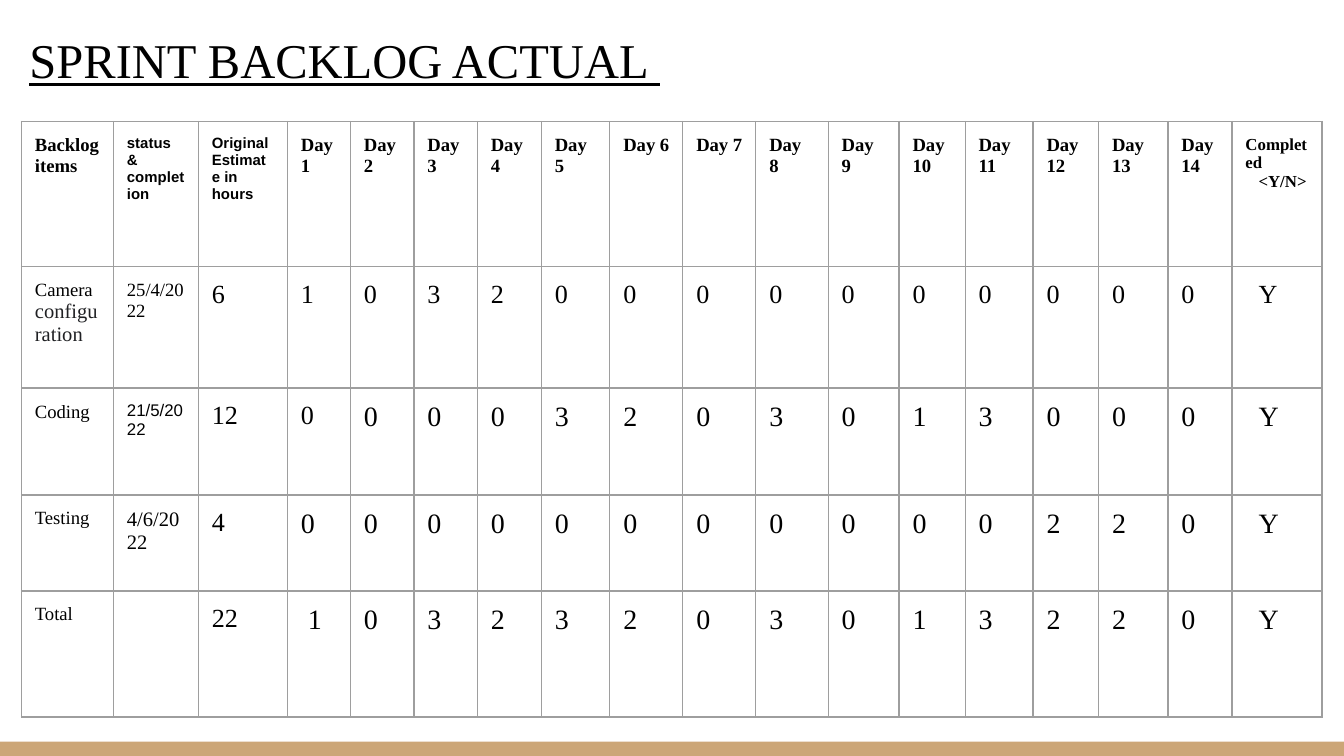
from lxml import etree
from pptx import Presentation
from pptx.dml.color import RGBColor
from pptx.enum.shapes import MSO_SHAPE
from pptx.enum.text import MSO_ANCHOR, MSO_AUTO_SIZE, PP_ALIGN
from pptx.oxml.ns import qn
from pptx.util import Pt

RECTANGLE = MSO_SHAPE.RECTANGLE
LEFT = PP_ALIGN.LEFT
TOP, BOTTOM = MSO_ANCHOR.TOP, MSO_ANCHOR.BOTTOM
NO_AUTOFIT = MSO_AUTO_SIZE.NONE

BLACK = RGBColor(0x00, 0x00, 0x00)
DARK_GREY = RGBColor(0x20, 0x21, 0x24)
BORDER_GREY = RGBColor(0x9E, 0x9E, 0x9E)
TAN = RGBColor(0xCC, 0xA6, 0x77)

SERIF, SANS = "Times New Roman", "Arial"
INSET = Pt(7.2)
ANSWER_INDENT = Pt(7)

COLUMN_WIDTHS = [49.3, 45.5, 47.7, 33.8, 34, 34, 34.3, 36.7, 39.1, 39.1,
                 38.8, 38, 35.4, 36.4, 35.1, 37.2, 34.3, 48.2]
ROW_HEIGHTS = [77.7, 65.1, 57.3, 51.4, 67.5]

# Item, date, date font, date size, hours, day values, sizes of first and later days
BACKLOG = [
    ("Camera ", "25/4/2022", SERIF, 10, "6", "1 0 3 2 0 0 0 0 0 0 0 0 0 0", 14, 14),
    ("Coding", "21/5/2022", SANS, 9, "12", "0 0 0 0 3 2 0 3 0 1 3 0 0 0", 14, 15),
    ("Testing", "4/6/2022", SERIF, 11, "4", "0 0 0 0 0 0 0 0 0 0 0 2 2 0", 15, 15),
    ("Total", "", SERIF, 10, "22", "1 0 3 2 3 2 0 3 0 1 3 2 2 0", 15, 15),
]


def format_paragraph(paragraph, size, name=SERIF, bold=False, indent=0):
    """Set the font and the left indent of a paragraph."""
    paragraph.alignment = LEFT
    if indent:
        paragraph._p.get_or_add_pPr().set("marL", str(indent))
    font = paragraph.font
    font.name, font.size, font.bold = name, Pt(size), bold
    font.color.rgb = BLACK


def write_cell(cell, text, size, name=SERIF, bold=False, indent=0):
    """Write one paragraph into a table cell."""
    paragraph = cell.text_frame.paragraphs[0]
    if text:
        paragraph.add_run().text = text
    format_paragraph(paragraph, size, name, bold, indent)
    return paragraph


def style_cell(cell):
    """Give a cell its insets, thin grey borders and no fill."""
    cell.margin_left = cell.margin_right = INSET
    cell.margin_top = cell.margin_bottom = INSET
    cell.vertical_anchor = TOP
    properties = cell._tc.get_or_add_tcPr()
    for side in ("a:lnL", "a:lnR", "a:lnT", "a:lnB"):
        line = etree.SubElement(properties, qn(side), w=str(Pt(0.75)))
        fill = etree.SubElement(line, qn("a:solidFill"))
        etree.SubElement(fill, qn("a:srgbClr"), val=str(BORDER_GREY))
    cell.fill.background()


def add_title(slide, text):
    title = slide.shapes.title
    title.left, title.top, title.width, title.height = Pt(8.6), Pt(-10.8), Pt(671), Pt(65.5)
    frame = title.text_frame
    frame.auto_size = NO_AUTOFIT
    frame.word_wrap = True
    frame.vertical_anchor = BOTTOM
    frame.margin_left = frame.margin_right = INSET
    frame.margin_top = frame.margin_bottom = INSET
    frame.text = text
    format_paragraph(frame.paragraphs[0], 26)
    frame.paragraphs[0].font.underline = True


def add_footer_bar(slide):
    bar = slide.shapes.add_shape(RECTANGLE, Pt(0), Pt(397.4), Pt(720), Pt(7.6))
    bar.shadow.inherit = False
    bar.fill.solid()
    bar.fill.fore_color.rgb = TAN
    bar.line.fill.background()


def fill_header(table):
    write_cell(table.cell(0, 0), "Backlog items", 10, bold=True)
    write_cell(table.cell(0, 1), "status & completion", 8, SANS, bold=True)
    write_cell(table.cell(0, 2), "Original Estimate in hours", 8, SANS, bold=True)
    for day in range(1, 15):
        write_cell(table.cell(0, day + 2), f"Day {day}", 10, bold=True)
    completed = table.cell(0, 17)
    write_cell(completed, "Completed", 9, bold=True)
    options = completed.text_frame.add_paragraph()
    options.text = "<Y/N>"
    format_paragraph(options, 9, bold=True, indent=ANSWER_INDENT)


def fill_backlog(table):
    for row, (item, date, date_font, date_size, hours, days, first, later) in enumerate(BACKLOG, 1):
        write_cell(table.cell(row, 0), item, 10)
        write_cell(table.cell(row, 1), date, date_size, date_font)
        write_cell(table.cell(row, 2), hours, 14)
        for column, value in enumerate(days.split(), 3):
            write_cell(table.cell(row, column), value, first if column == 3 else later)
        write_cell(table.cell(row, 17), "Y", later, indent=ANSWER_INDENT)

    # The second word of the first item is larger and grey
    word = table.cell(1, 0).text_frame.paragraphs[0].add_run()
    word.text = "configuration"
    word.font.size = Pt(11)
    word.font.color.rgb = DARK_GREY

    # The first total is set in a little
    total = table.cell(4, 3).text_frame.paragraphs[0]
    format_paragraph(total, 15, indent=Pt(3.75))


def add_backlog_table(slide):
    frame = slide.shapes.add_table(len(ROW_HEIGHTS), len(COLUMN_WIDTHS), Pt(11.5), Pt(65.1),
                                   Pt(sum(COLUMN_WIDTHS)), Pt(sum(ROW_HEIGHTS)))
    table = frame.table
    table.first_row = table.horz_banding = False
    for column, width in zip(table.columns, COLUMN_WIDTHS):
        column.width = Pt(width)
    for row, height in zip(table.rows, ROW_HEIGHTS):
        row.height = Pt(height)
    for cell in table.iter_cells():
        style_cell(cell)
    fill_header(table)
    fill_backlog(table)


def main():
    presentation = Presentation()
    presentation.slide_width, presentation.slide_height = Pt(720), Pt(405)
    slide = presentation.slides.add_slide(presentation.slide_layouts[5])
    add_footer_bar(slide)
    add_title(slide, "SPRINT BACKLOG ACTUAL ")
    add_backlog_table(slide)
    presentation.save("out.pptx")


if __name__ == "__main__":
    main()
